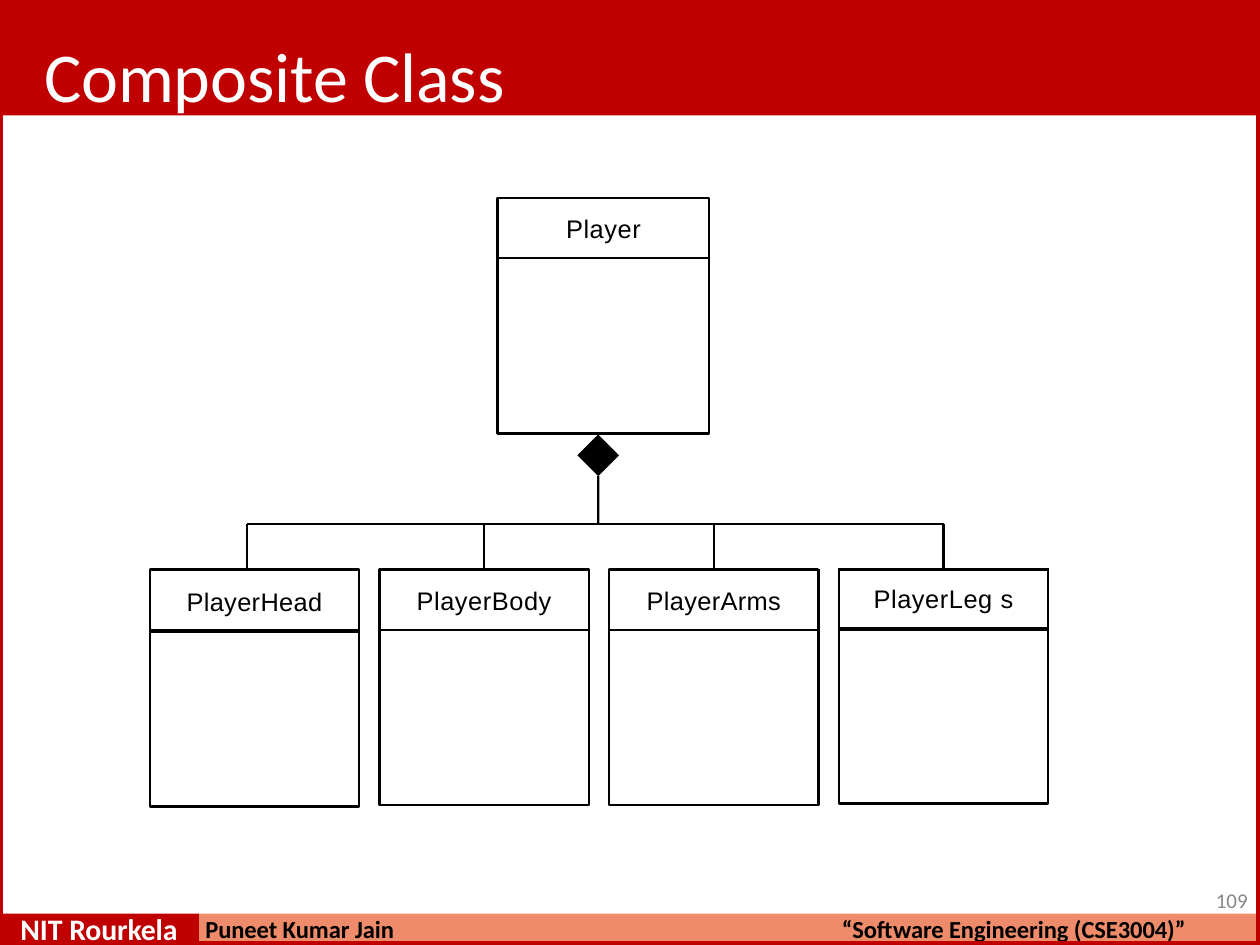
from dataclasses import dataclass

from lxml.etree import SubElement
from pptx import Presentation
from pptx.dml.color import RGBColor
from pptx.enum.shapes import MSO_CONNECTOR as Link, MSO_SHAPE as Preset
from pptx.enum.text import MSO_ANCHOR as Anchor, MSO_AUTO_SIZE as AutoSize, PP_ALIGN as Align
from pptx.oxml.ns import qn
from pptx.util import Cm, Pt


@dataclass(frozen=True)
class Theme:
    """Colours, fonts and type sizes of the deck."""
    red: str = "C00000"
    salmon: str = "EE8B6A"
    white: str = "FFFFFF"
    black: str = "000000"
    grey: str = "888888"
    deck_font: str = "Calibri"
    class_font: str = "Arial"
    title: float = 40
    class_name: float = 14.5
    institute: float = 17
    footer: float = 14
    page: float = 12
    rule: float = 1.25
    border: float = 4


THEME = Theme()


@dataclass(frozen=True)
class Box:
    """A rectangle measured in centimetres."""
    left: float
    top: float
    width: float
    height: float

    @property
    def centre(self):
        """Return the horizontal middle."""
        return self.left + self.width / 2

    def lengths(self):
        """Return the four measures as slide lengths."""
        return [Cm(v) for v in (self.left, self.top, self.width, self.height)]


def add_run(paragraph, text, size, colour, font=THEME.deck_font, bold=False, spacing=0.0):
    """Append one formatted run."""
    run = paragraph.add_run()
    run.text = text
    run.font.size, run.font.name, run.font.bold = Pt(size), font, bold
    run.font.color.rgb = RGBColor.from_string(colour)
    if spacing:
        run._r.get_or_add_rPr().set("spc", str(round(spacing * 100)))


def set_frame(frame, top=0.0, left=0.0, wrap=False):
    """Give a text frame top anchoring and fixed insets."""
    frame.auto_size = AutoSize.NONE
    frame.word_wrap = wrap
    frame.vertical_anchor = Anchor.TOP
    frame.margin_left, frame.margin_top = Cm(left), Cm(top)
    frame.margin_right = frame.margin_bottom = 0


def style_shape(shape, fill=None, line=None, weight=THEME.rule):
    """Make a shape flat, with the given fill and outline or none."""
    shape.shadow.inherit = False
    if fill:
        shape.fill.solid()
        shape.fill.fore_color.rgb = RGBColor.from_string(fill)
    else:
        shape.fill.background()
    if line:
        shape.line.color.rgb = RGBColor.from_string(line)
        shape.line.width = Pt(weight)
    else:
        shape.line.fill.background()
    return shape


def add_preset(slide, box, preset=Preset.RECTANGLE, **style):
    """Draw a flat preset shape."""
    return style_shape(slide.shapes.add_shape(preset, *box.lengths()), **style)


def add_rule(slide, x1, y1, x2, y2):
    """Draw a thin black straight connector."""
    rule = slide.shapes.add_connector(Link.STRAIGHT, Cm(x1), Cm(y1), Cm(x2), Cm(y2))
    rule.line.color.rgb = RGBColor.from_string(THEME.black)
    rule.line.width = Pt(THEME.rule)
    SubElement(rule._element.spPr, qn("a:effectLst"))
    return rule


def add_label(slide, box, words, size, colour, leading, bold=True, indent=0.03):
    """Place one line of footer text, run by run."""
    frame = slide.shapes.add_textbox(*box.lengths()).text_frame
    set_frame(frame, left=indent)
    paragraph = frame.paragraphs[0]
    paragraph.line_spacing = Pt(leading)
    for word, spacing in words:
        add_run(paragraph, word, size, colour, bold=bold, spacing=spacing)


def add_header(slide, box, heading):
    """Draw the title band and set the title on it."""
    add_preset(slide, box, fill=THEME.red)
    title = slide.shapes.title
    slide.shapes._spTree.append(title._element)
    title.left, title.top, title.width, title.height = Box(
        box.left + 0.86, box.top + 0.61, 9.4, 1.78).lengths()
    set_frame(title.text_frame, top=0.04, left=0.03)
    paragraph = title.text_frame.paragraphs[0]
    paragraph.alignment = Align.LEFT
    add_run(paragraph, heading, THEME.title, THEME.white, spacing=-0.05)


def add_footer(slide, box):
    """Draw the footer strip with institute, author, course and page."""
    badge = 4.01
    add_preset(slide, Box(box.left + badge, box.top, box.width - badge, box.height),
               fill=THEME.salmon)
    add_preset(slide, Box(box.left, box.top, badge, box.height), fill=THEME.red)
    add_label(slide, Box(box.left + 0.38, box.top + 0.05, 3.25, 0.66),
              [("NIT ", 0), ("Rourkela", -0.1)], THEME.institute, THEME.white, 17.2)
    for left, width, text in ((4.11, 3.89, "Puneet Kumar Jain"),
                              (16.94, 7.01, "“Software Engineering (CSE3004)”")):
        add_label(slide, Box(box.left + left, box.top + 0.1, width, 0.56),
                  [(text, -0.05)], THEME.footer, THEME.black, 14.2)
    add_label(slide, Box(box.left + 24.41, box.top - 0.46, 0.84, 0.48), [("109", 0)],
              THEME.page, THEME.grey, 12.4, bold=False, indent=0.1)


def add_class(slide, box, words, drop=0.0):
    """Draw a class with its name compartment, and return that compartment."""
    name_height = 1.22
    left, top, right = box.left, box.top + drop, box.left + box.width
    bottom, divider = top + box.height, top + name_height
    outline = slide.shapes.build_freeform(Cm(left), Cm(top))
    outline.add_line_segments([(Cm(left), Cm(bottom)), (Cm(right), Cm(bottom)),
                               (Cm(right), Cm(top))], close=False)
    outline.move_to(Cm(left), Cm(divider))
    outline.add_line_segments([(Cm(right), Cm(divider))], close=False)
    style_shape(outline.convert_to_shape(), line=THEME.black)
    name = add_preset(slide, Box(left, box.top, box.width, name_height), line=THEME.black)
    set_frame(name.text_frame, top=0.31 + drop, wrap=True)
    paragraph = name.text_frame.paragraphs[0]
    paragraph.alignment = Align.CENTER
    for word, spacing in words:
        add_run(paragraph, word, THEME.class_name, THEME.black, THEME.class_font, spacing=spacing)
    return name


def add_composition(slide, box):
    """Draw the whole class, its parts and the composition tree between them."""
    class_height, part_width, pitch = 4.75, 4.22, 4.63
    part_top, rail = box.top + 7.49, box.top + 6.58
    add_class(slide, Box(box.left + 7.01, box.top, 4.27, class_height), [("Player", 0.3)])
    parts = (([("PlayerHead", 0.2)], 0.03, -0.15), ([("PlayerBody", 0.3)], 0, 0),
             ([("PlayerArms", 0.2)], 0, 0), ([("PlayerLeg ", 0.3), ("s", 0.1)], -0.03, 0))
    stems = []
    for index, (words, drop, shift) in enumerate(parts):
        part_box = Box(box.left + index * pitch, part_top, part_width, class_height)
        part = add_class(slide, part_box, words, drop)
        x = part_box.centre + shift
        stem = add_rule(slide, x, rail, x, part_top)
        if not shift:
            stem.end_connect(part, 0)
        stems.append(x)
    add_rule(slide, stems[0], rail, stems[-1], rail)
    mark = Box(box.left + 8.62, box.top + 4.77, 0.84, 0.84)
    diamond = add_preset(slide, mark, Preset.DIAMOND, fill=THEME.black)
    stalk = add_rule(slide, mark.centre, mark.top + mark.height, mark.centre, rail)
    stalk.begin_connect(diamond, 2)


def main():
    """Build the slide and save it."""
    deck = Presentation()
    page = Box(0, 0, 25.4, 19.05)
    deck.slide_width, deck.slide_height = page.lengths()[2:]
    slide = deck.slides.add_slide(deck.slide_layouts[5])
    add_header(slide, Box(0, 0, page.width, 2.33), "Composite Class")
    add_footer(slide, Box(0, 18.42, page.width, 0.63))
    add_preset(slide, page, line=THEME.red, weight=THEME.border)
    add_composition(slide, Box(3.02, 3.99, 18.11, 12.24))
    deck.save("out.pptx")


if __name__ == "__main__":
    main()
